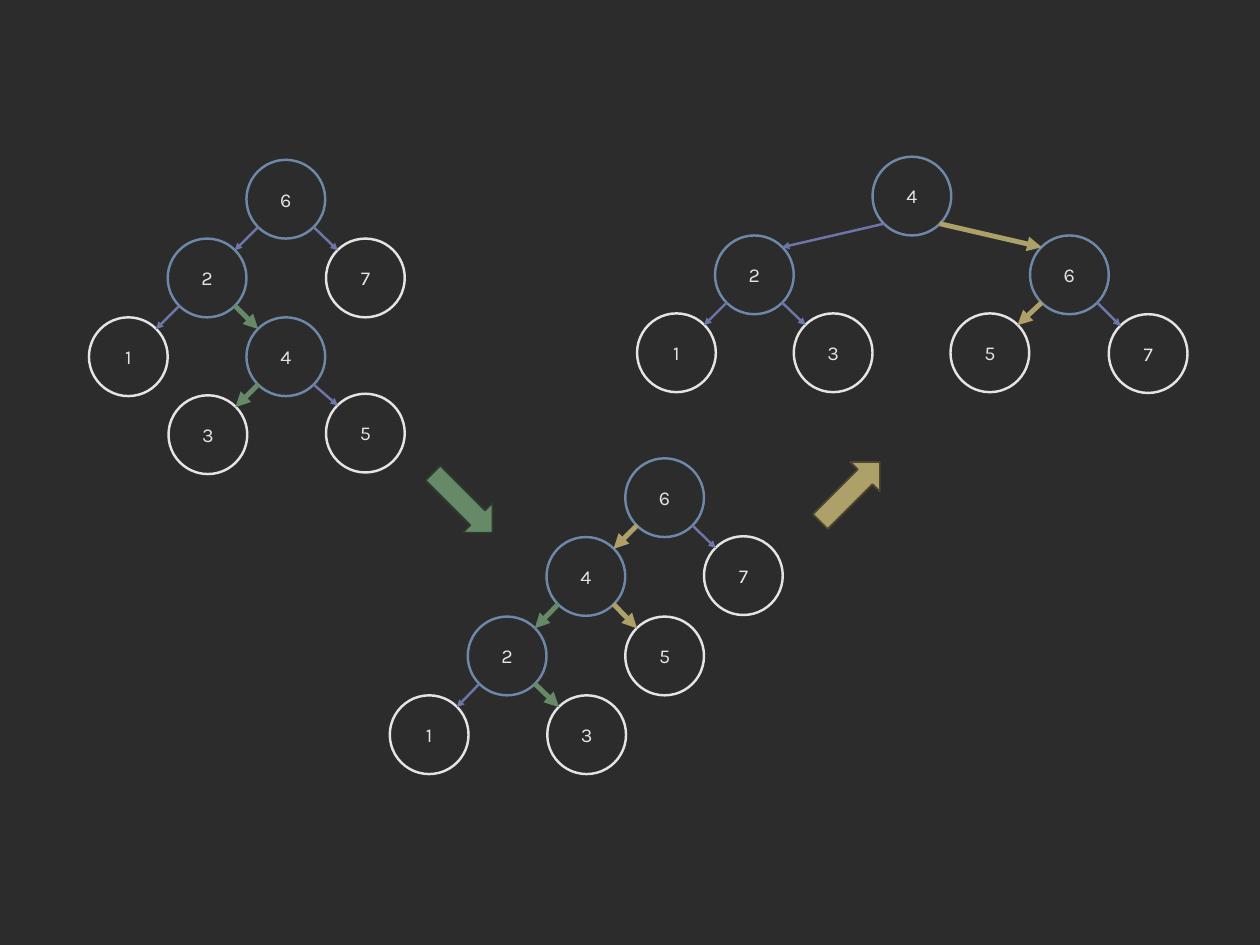
"""Draw a binary search tree being rebalanced by a double rotation."""
import dataclasses

import lxml.etree
import pptx
import pptx.dml.color
import pptx.enum.shapes
import pptx.enum.text
import pptx.oxml.ns
import pptx.util

EMU_PER_PX = 9144
NODE_SIZE = 100
NEAR, FAR = 15, 85
ARROW_SIZE = (107, 53)


@dataclasses.dataclass(frozen=True)
class Theme:
    """Hold the colours and type sizes of the slide."""
    background: str = "2C2C2C"
    text: str = "E4E4E4"
    parent: str = "6D88A8"
    leaf: str = "E4E4E4"
    link: str = "6E75A8"
    first: str = "668A68"
    first_edge: str = "2D3C2E"
    second: str = "ADA069"
    second_edge: str = "4C462E"
    font: str = "Karla"
    text_size: float = 18
    thin: float = 2.25
    thick: float = 4.5
    arrow_edge: float = 1.5


THEME = Theme()

TREES = [
    {
        "nodes": {"2": (213, 303), "4": (313, 403), "6": (313, 203), "1": (113, 403),
                  "3": (214, 502), "5": (414, 500), "7": (414, 303)},
        "links": [("6", "2", THEME.link), ("6", "7", THEME.link), ("2", "1", THEME.link),
                  ("2", "4", THEME.first), ("4", "3", THEME.first), ("4", "5", THEME.link)],
    },
    {
        "nodes": {"2": (594, 783), "4": (694, 682), "6": (794, 582), "1": (495, 883),
                  "3": (695, 883), "5": (794, 783), "7": (894, 681)},
        "links": [("6", "4", THEME.second), ("6", "7", THEME.link), ("4", "2", THEME.first),
                  ("4", "5", THEME.second), ("2", "1", THEME.link), ("2", "3", THEME.first)],
    },
    {
        "nodes": {"2": (908, 299), "4": (1108, 199), "6": (1308, 299), "1": (809, 398),
                  "3": (1008, 398), "5": (1207, 398), "7": (1408, 399)},
        "links": [("4", "2", THEME.link), ("4", "6", THEME.second), ("2", "1", THEME.link),
                  ("2", "3", THEME.link), ("6", "5", THEME.second), ("6", "7", THEME.link)],
    },
]

STEP_ARROWS = [
    (534, 612, 45, THEME.first, THEME.first_edge),
    (1026, 598, 315, THEME.second, THEME.second_edge),
]


def px(length):
    """Turn a length in px into EMU."""
    return pptx.util.Emu(length * EMU_PER_PX)


def color(code):
    """Turn a hex code into a colour."""
    return pptx.dml.color.RGBColor.from_string(code)


def apply_format(target, values):
    """Set each named attribute of the target."""
    for name, value in values.items():
        setattr(target, name, value)


def format_line(line, code, width):
    """Give a line its colour and width."""
    line.fill.solid()
    line.fill.fore_color.rgb = color(code)
    line.width = pptx.util.Pt(width)


def add_node(slide, label, position, outline):
    """Add a numbered circle."""
    shape = slide.shapes.add_shape(
        pptx.enum.shapes.MSO_SHAPE.OVAL, *map(px, (*position, NODE_SIZE, NODE_SIZE)))
    shape.shadow.inherit = False
    shape.fill.background()
    format_line(shape.line, outline, THEME.thin)
    shape.text_frame.vertical_anchor = pptx.enum.text.MSO_ANCHOR.MIDDLE
    paragraph = shape.text_frame.paragraphs[0]
    paragraph.alignment = pptx.enum.text.PP_ALIGN.CENTER
    run = paragraph.add_run()
    run.text = label
    apply_format(run.font, {"name": THEME.font, "size": pptx.util.Pt(THEME.text_size)})
    run.font.color.rgb = color(THEME.text)


def add_link(slide, parent, child, code):
    """Add an arrow from a parent circle down to a child circle."""
    start, end = (NEAR, FAR) if child[0] < parent[0] else (FAR, NEAR)
    connector = slide.shapes.add_connector(
        pptx.enum.shapes.MSO_CONNECTOR.STRAIGHT,
        px(parent[0] + start), px(parent[1] + FAR), px(child[0] + end), px(child[1] + NEAR))
    format_line(connector.line, code, THEME.thin if code == THEME.link else THEME.thick)
    qualify = pptx.oxml.ns.qn
    properties = connector.element.spPr
    lxml.etree.SubElement(properties.find(qualify("a:ln")), qualify("a:tailEnd"), type="triangle")
    lxml.etree.SubElement(properties, qualify("a:effectLst"))


def add_tree(slide, nodes, links):
    """Add the circles of a tree and the arrows between them."""
    parents = {parent for parent, _, _ in links}
    for label, position in nodes.items():
        add_node(slide, label, position, THEME.parent if label in parents else THEME.leaf)
    for parent, child, code in links:
        add_link(slide, nodes[parent], nodes[child], code)


def add_step_arrow(slide, left, top, rotation, fill, edge):
    """Add a block arrow that leads to the next tree."""
    shape = slide.shapes.add_shape(
        pptx.enum.shapes.MSO_SHAPE.RIGHT_ARROW, *map(px, (left, top, *ARROW_SIZE)))
    shape.rotation = rotation
    shape.shadow.inherit = False
    shape.fill.solid()
    shape.fill.fore_color.rgb = color(fill)
    format_line(shape.line, edge, THEME.arrow_edge)


def main():
    """Build and save the slide."""
    presentation = pptx.Presentation()
    apply_format(presentation, {"slide_width": px(1600), "slide_height": px(1200)})
    slide = presentation.slides.add_slide(presentation.slide_layouts[6])
    slide.background.fill.solid()
    slide.background.fill.fore_color.rgb = color(THEME.background)
    for tree in TREES:
        add_tree(slide, **tree)
    for arrow in STEP_ARROWS:
        add_step_arrow(slide, *arrow)
    presentation.save("out.pptx")


if __name__ == "__main__":
    main()
